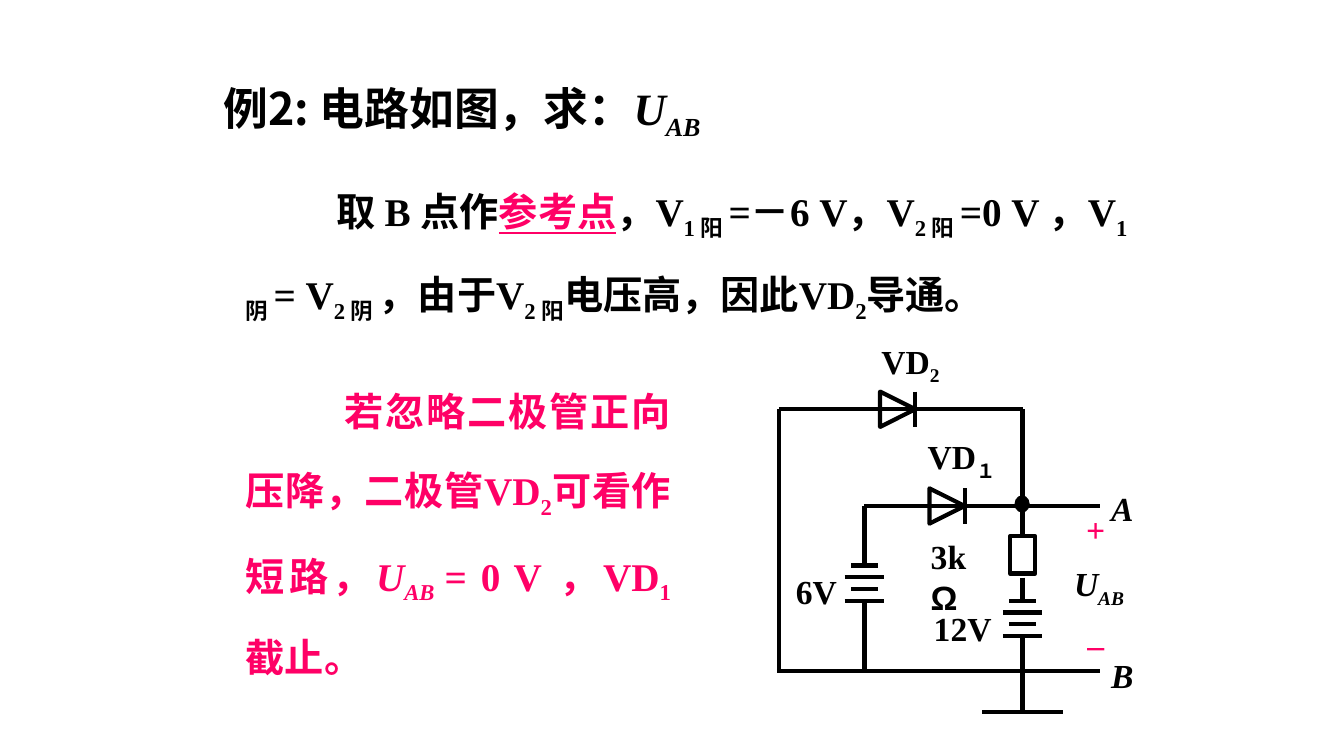
from dataclasses import dataclass
from pptx import Presentation
from pptx.dml.color import RGBColor
from pptx.enum.shapes import MSO_CONNECTOR, MSO_SHAPE
from pptx.enum.text import MSO_ANCHOR, MSO_AUTO_SIZE, PP_ALIGN
from pptx.oxml.ns import qn
from pptx.util import Inches, Pt
from lxml.etree import SubElement


@dataclass(frozen=True)
class Theme:
    ink: str = "000000"
    accent: str = "FF0066"
    serif: str = "Times New Roman"
    sans: str = "Arial"
    cjk: str = "Noto Sans CJK SC"
    title: int = 32
    body: int = 28
    label: int = 24
    line: int = 3


T = Theme()
GRID = Inches(0.1)

TITLE = [("例2: ", "c"), ("电路如图，求：", ""), ("U", "i"), ("AB", "is")]
REASON = [
    ("取 B 点作", ""), ("参考点", "ru"), ("，V", ""), ("1 阳 ", "s"),
    ("=－6 V，V", ""), ("2 阳 ", "s"), ("=0 V ，V", ""), ("1 阴 ", "s"),
    ("= V", ""), ("2 阴 ", "s"), ("，由于V", ""), ("2 阳", "s"),
    ("电压高，因此VD", ""), ("2", "s"), ("导通。", ""),
]
RESULT = [
    ("若忽略二极管正向压降，二极管VD", "r"), ("2", "rs"), ("可看作短路，", "r"),
    ("U", "ri"), ("AB ", "ris"), ("= 0 V ，VD", "r"), ("1", "rs"), ("截止。", "r"),
]

OUTER, CELL, NODE, END = 77.3, 85.8, 101.5, 109.2
TOP, MIDDLE, BOTTOM, GROUND = 40.6, 50.2, 66.6, 70.6
RESISTOR = (53.2, 56.9)
BATTERIES = [(CELL, 56.1), (NODE, 59.6)]
PLATE_GAP, PLATES = 1.17, (1.3, 1.95, 1.3, 1.95)
BATTERY_HEIGHT = PLATE_GAP * (len(PLATES) - 1)
DIODES = [(94, MIDDLE), (89.1, TOP)]
DIODE = 3.5
WIRES = [
    (OUTER, TOP, NODE, TOP),
    (OUTER, TOP, OUTER, BOTTOM),
    (NODE, TOP, NODE, RESISTOR[0]),
    (CELL, MIDDLE, END, MIDDLE),
    (CELL, MIDDLE, CELL, BATTERIES[0][1]),
    (CELL, BATTERIES[0][1] + BATTERY_HEIGHT, CELL, BOTTOM),
    (NODE, RESISTOR[1] + 0.4, NODE, BATTERIES[1][1]),
    (NODE, BATTERIES[1][1] + BATTERY_HEIGHT, NODE, GROUND),
    (OUTER - 0.2, BOTTOM, END, BOTTOM),
    (NODE - 4, GROUND, NODE + 4, GROUND),
]
LABELS = [
    ((86.5, 33.3, 7.8, 5.6), [("VD", ""), ("2", "s")], PP_ALIGN.LEFT, False),
    ((91.1, 42.8, 9.5, 5.6), [("VD", ""), ("１", "s")], PP_ALIGN.LEFT, False),
    ((78, 56.1, 6.1, 5), [("6V", "")], PP_ALIGN.LEFT, False),
    ((91.7, 59.8, 7.7, 5), [("12V", "")], PP_ALIGN.LEFT, False),
    ((91.4, 52.7, 7.4, 5), [("3k", ""), ("Ω", "a")], PP_ALIGN.LEFT, True),
    ((109.3, 47.9, 4.2, 5), [("A", "i")], PP_ALIGN.LEFT, False),
    ((109.3, 64.5, 4.2, 5), [("B", "i")], PP_ALIGN.LEFT, False),
    ((105.6, 55.4, 7, 5.6), [("U", "i"), ("AB", "is")], PP_ALIGN.CENTER, False),
    ((105.4, 50, 6.7, 5), [("+", "r")], PP_ALIGN.CENTER, True),
    ((105.4, 61.4, 6.7, 5), [("–", "r")], PP_ALIGN.CENTER, True),
]


def grid(*values):
    return [round(v * GRID) for v in values]


def write(sp, runs, size, align=PP_ALIGN.LEFT, spacing=1.0, indent=0, wrap=True):
    tf = sp.text_frame
    tf.word_wrap = wrap
    tf.auto_size = MSO_AUTO_SIZE.NONE
    tf.vertical_anchor = MSO_ANCHOR.TOP
    p = tf.paragraphs[0]
    p.alignment, p.line_spacing, p.space_before = align, spacing, Pt(0)
    pPr = p._p.get_or_add_pPr()
    pPr.set("marL", "0")
    pPr.set("indent", str(round(indent * GRID)))
    SubElement(pPr, qn("a:buNone"))
    for text, style in runs:
        r = p.add_run()
        r.text = text
        f = r.font
        f.size, f.bold, f.italic = Pt(size), True, "i" in style
        f.name = T.cjk if "c" in style else T.sans if "a" in style else T.serif
        f.color.rgb = RGBColor.from_string(T.accent if "r" in style else T.ink)
        if "u" in style:
            f.underline = True
        rPr = r._r.get_or_add_rPr()
        if "s" in style:
            rPr.set("baseline", "-25000")
        SubElement(rPr, qn("a:ea")).set("typeface", T.cjk)


def place(sp, *box):
    sp.left, sp.top, sp.width, sp.height = grid(*box)


def stroke(line):
    line.color.rgb = RGBColor.from_string(T.ink)
    line.width = Pt(T.line)


def wire(s, *ends):
    c = s.shapes.add_connector(MSO_CONNECTOR.STRAIGHT, *grid(*ends))
    stroke(c.line)
    SubElement(c._element.spPr, qn("a:effectLst"))


def outline(s, kind, *box):
    sp = s.shapes.add_shape(kind, *grid(*box))
    sp.shadow.inherit = False
    sp.fill.background()
    stroke(sp.line)
    return sp


def draw_circuit(s):
    for ends in WIRES:
        wire(s, *ends)
    for x, y in BATTERIES:
        for i, half in enumerate(PLATES):
            wire(s, x - half, y + i * PLATE_GAP, x + half, y + i * PLATE_GAP)
    for x, y in DIODES:
        half = DIODE / 2
        outline(s, MSO_SHAPE.ISOSCELES_TRIANGLE, x - half, y - half, DIODE, DIODE).rotation = 90
        wire(s, x + half, y - half, x + half, y + half)
    outline(s, MSO_SHAPE.RECTANGLE, NODE - 1.25, RESISTOR[0], 2.5, RESISTOR[1] - RESISTOR[0])
    dot = s.shapes.add_shape(MSO_SHAPE.OVAL, *grid(NODE - 0.75, MIDDLE - 1, 1.4, 1.6))
    dot.shadow.inherit = False
    dot.fill.solid()
    dot.fill.fore_color.rgb = RGBColor.from_string(T.ink)
    dot.line.color.rgb = RGBColor.from_string(T.ink)
    for box, runs, align, wrap in LABELS:
        write(s.shapes.add_textbox(*grid(*box)), runs, T.label, align, wrap=wrap)


def main():
    prs = Presentation()
    prs.slide_width, prs.slide_height = Inches(13.34), Inches(7.5)
    s = prs.slides.add_slide(prs.slide_layouts[3])
    title, reason, result = s.placeholders
    place(title, 21.2, 7.5, 58.3, 7.1)
    write(title, TITLE, T.title)
    place(reason, 23.4, 15.2, 89.5, 24.7)
    write(reason, REASON, T.body, PP_ALIGN.JUSTIFY, 1.55, 9)
    place(result, 23.4, 35.1, 44.2, 34)
    write(result, RESULT, T.body, PP_ALIGN.JUSTIFY, 1.6, 9.8)
    draw_circuit(s)
    prs.save("out.pptx")


if __name__ == "__main__":
    main()
